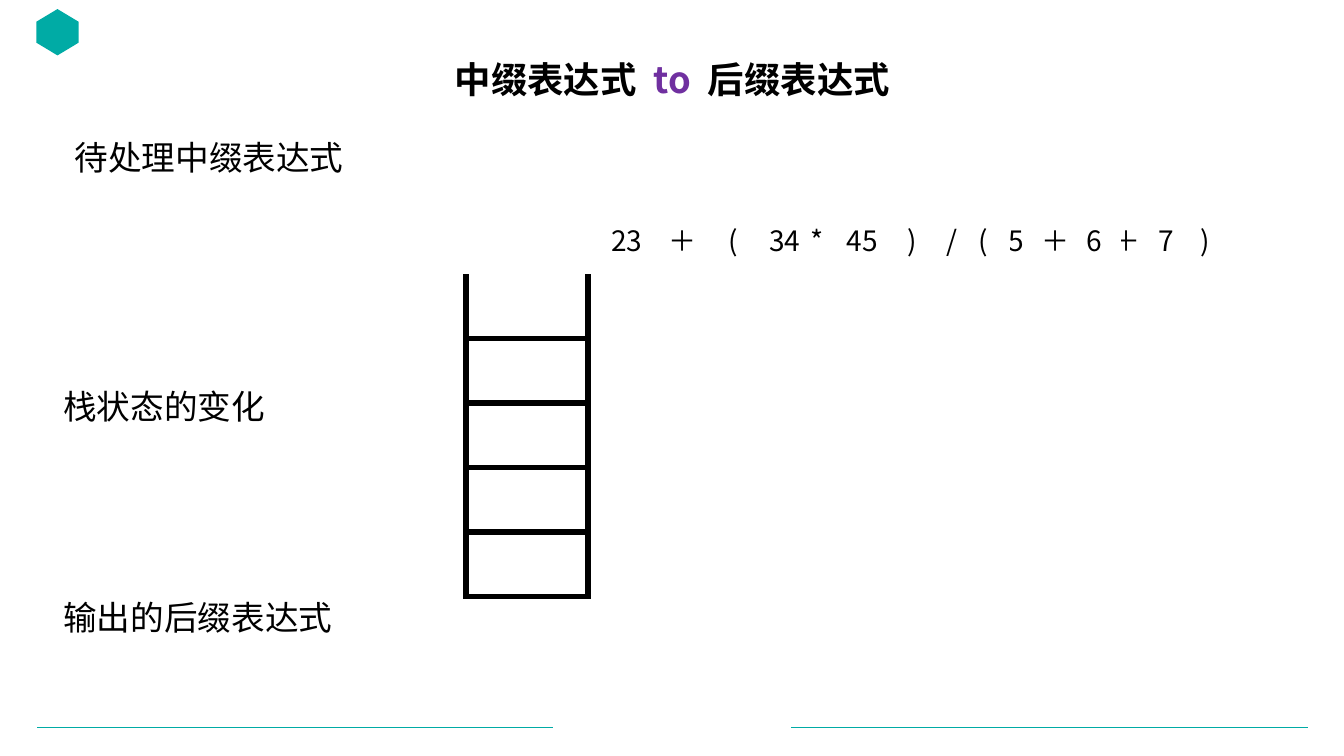
from dataclasses import dataclass

from pptx import Presentation
from pptx.dml.color import RGBColor
from pptx.enum.shapes import MSO_CONNECTOR, MSO_SHAPE
from pptx.enum.text import MSO_ANCHOR, MSO_AUTO_SIZE, PP_ALIGN
from pptx.oxml.ns import qn
from pptx.util import Pt
from lxml import etree

PX = 9144
STRAIGHT = MSO_CONNECTOR.STRAIGHT
HEXAGON, RECTANGLE = MSO_SHAPE.HEXAGON, MSO_SHAPE.RECTANGLE
TOP, MIDDLE = MSO_ANCHOR.TOP, MSO_ANCHOR.MIDDLE
LEFT, CENTER = PP_ALIGN.LEFT, PP_ALIGN.CENTER
NO_AUTOFIT = MSO_AUTO_SIZE.NONE


@dataclass(frozen=True)
class Theme:
    """Colours, font and type sizes of the slide."""
    font: str = "Noto Sans CJK SC"
    ink: str = "000000"
    paper: str = "FFFFFF"
    accent: str = "00ABA5"
    highlight: str = "7030A0"
    title_size: int = 26
    label_size: int = 24
    token_size: int = 20
    title_gap: int = 600
    rule_width: float = 0.5
    token_line: float = 0.75
    stack_line: float = 4.5


THEME = Theme()

TITLE_RUNS = [
    ("中缀表达式", THEME.ink),
    (" ", THEME.ink),
    ("to", THEME.highlight),
    (" ", THEME.ink),
    ("后缀表达式", THEME.ink),
]
STACK_LABELS = [
    ("栈状态的变化", (53, 383, 298, 62), 1.0),
    ("输出的后缀表达式", (53, 597, 311, 63), 0.9),
]
EXPRESSION = [
    ("23", 596), ("＋", 651), ("(", 702), ("34", 753), ("*", 785),
    ("45", 830), (")", 879), ("/", 919), ("(", 950), ("5", 982),
    ("＋", 1021), ("6", 1060), ("＋", 1092), ("7", 1131), (")", 1170),
]


def px(*lengths):
    """Turn px lengths into EMU."""
    return [length * PX for length in lengths]


def style_run(run, size, color=THEME.ink, bold=False):
    """Give a run its font, size, colour and weight."""
    run.font.size = Pt(size)
    run.font.bold = bold
    run.font.color.rgb = RGBColor.from_string(color)
    run.font.name = THEME.font
    etree.SubElement(run.font._element, qn("a:ea"), typeface=THEME.font)


def place(shape, box):
    """Move and size a placeholder."""
    shape.left, shape.top, shape.width, shape.height = px(*box)


def prepare_frame(frame):
    """Set wrapping, anchor and top inset of a text frame."""
    frame.word_wrap = True
    frame.auto_size = NO_AUTOFIT
    frame.vertical_anchor = TOP
    frame.margin_top = 0


def write_label(frame, text, line_spacing):
    """Write one left-aligned label without a bullet."""
    prepare_frame(frame)
    frame.text = text
    paragraph = frame.paragraphs[0]
    properties = paragraph._p.get_or_add_pPr()
    properties.set("marL", "0")
    properties.set("indent", "0")
    paragraph.alignment = LEFT
    paragraph.line_spacing = line_spacing
    paragraph.space_before = Pt(0)
    etree.SubElement(properties, qn("a:buNone"))
    style_run(paragraph.runs[0], THEME.label_size)


def write_title(title):
    """Write the centred title with its highlighted word."""
    place(title, (92, 62, 1150, 57))
    prepare_frame(title.text_frame)
    paragraph = title.text_frame.paragraphs[0]
    paragraph.alignment = CENTER
    paragraph.line_spacing = 0.9
    for text, color in TITLE_RUNS:
        run = paragraph.add_run()
        run.text = text
        style_run(run, THEME.title_size, color, bold=True)
        if text == " ":
            run.font._element.set("spc", str(THEME.title_gap))


def add_rule(slide, start, end, y):
    """Draw a thin horizontal footer rule."""
    rule = slide.shapes.add_connector(STRAIGHT, *px(start, y, end, y))
    rule.line.color.rgb = RGBColor.from_string(THEME.accent)
    rule.line.width = Pt(THEME.rule_width)
    etree.SubElement(rule._element.spPr, qn("a:effectLst"))


def add_emblem(slide):
    """Place a plain hexagon in the corner."""
    emblem = slide.shapes.add_shape(HEXAGON, *px(34, 11, 46, 42))
    emblem.rotation = 90
    emblem.adjustments[0] = 0.3
    emblem.shadow.inherit = False
    emblem.fill.solid()
    emblem.fill.fore_color.rgb = RGBColor.from_string(THEME.accent)
    emblem.line.fill.background()


def add_border(cell, side, visible):
    """Add one border line to a table cell."""
    line = etree.SubElement(cell._tc.get_or_add_tcPr(), qn(f"a:ln{side}"),
                            w=str(Pt(THEME.stack_line)))
    if visible:
        fill = etree.SubElement(line, qn("a:solidFill"))
        etree.SubElement(fill, qn("a:srgbClr"), val=THEME.ink)
    else:
        etree.SubElement(line, qn("a:noFill"))


def add_stack(slide, rows=5):
    """Draw the empty stack, open at the top."""
    frame = slide.shapes.add_table(rows, 1, *px(462, 272, 121, 64 * rows))
    stack = frame.table
    stack.first_row = False
    stack.horz_banding = False
    for level in range(rows):
        cell = stack.cell(level, 0)
        for side in "LRTB":
            add_border(cell, side, side != "T" or level > 0)
        cell.fill.background()


def add_token(slide, text, left):
    """Place one operand or operator of the expression."""
    token = slide.shapes.add_shape(RECTANGLE, *px(left, 219, 51, 39))
    token.shadow.inherit = False
    token.fill.solid()
    token.fill.fore_color.rgb = RGBColor.from_string(THEME.paper)
    token.line.color.rgb = RGBColor.from_string(THEME.paper)
    token.line.width = Pt(THEME.token_line)
    frame = token.text_frame
    frame.word_wrap = False
    frame.vertical_anchor = MIDDLE
    frame.text = text
    frame.paragraphs[0].alignment = CENTER
    style_run(frame.paragraphs[0].runs[0], THEME.token_size)


def main():
    """Build the slide and save it."""
    deck = Presentation()
    deck.slide_width, deck.slide_height = px(1333, 750)
    slide = deck.slides.add_slide(deck.slide_layouts[1])
    add_rule(slide, 548, 37, 722)
    add_rule(slide, 1297, 785, 722)
    add_emblem(slide)
    write_title(slide.shapes.title)
    pending = slide.placeholders[1]
    place(pending, (64, 140, 1209, 553))
    write_label(pending.text_frame, "待处理中缀表达式", 0.9)
    add_stack(slide)
    for text, box, line_spacing in STACK_LABELS:
        label = slide.shapes.add_textbox(*px(*box))
        write_label(label.text_frame, text, line_spacing)
    for text, left in reversed(EXPRESSION):
        add_token(slide, text, left)
    deck.save("out.pptx")


if __name__ == "__main__":
    main()
